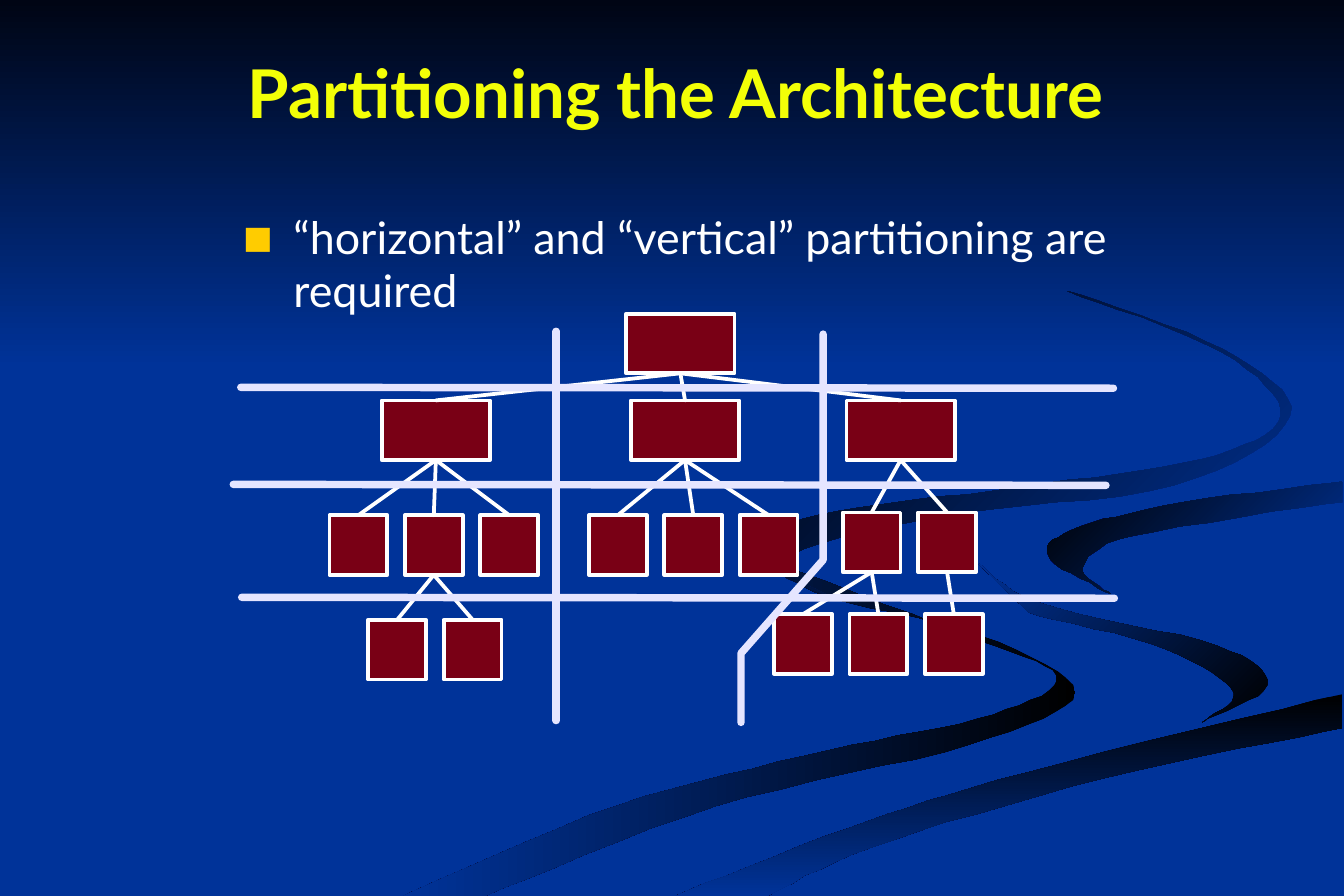
from lxml.etree import SubElement
from pptx import Presentation
from pptx.dml.color import RGBColor
from pptx.enum.shapes import MSO_CONNECTOR, MSO_SHAPE
from pptx.enum.text import MSO_ANCHOR, MSO_AUTO_SIZE, PP_ALIGN
from pptx.oxml.ns import qn
from pptx.util import Pt

BLUE = RGBColor(0x00, 0x33, 0x99)
BLACK = RGBColor(0x00, 0x00, 0x00)
NIGHT = RGBColor(0x00, 0x05, 0x14)
YELLOW = RGBColor(0xF3, 0xFF, 0x07)
WHITE = RGBColor(0xFF, 0xFF, 0xFF)
MAROON = RGBColor(0x79, 0x00, 0x15)
LILAC = RGBColor(0xE5, 0xE5, 0xFF)
GOLD = "FFCC00"
FONT = "Lato"

RIVERS = [
    (BLACK, BLUE, 180,
     [(414, 295), (436, 317), (526, 341), (576, 371), (519, 399), (383, 432), (260, 480)],
     [(216, 480), (330, 432), (444, 402), (532, 383), (566, 362), (514, 339), (410, 300)]),
    (BLACK, BLUE, 135,
     [(521, 299), (557, 323), (652, 346), (679, 367), (644, 387)],
     [(661, 371), (625, 348), (551, 328)]),
    (BLACK, BLUE, 270,
     [(362, 480), (454, 444), (550, 414), (719, 372)],
     [(719, 390), (591, 417), (467, 454), (411, 480)]),
    (BLUE, BLACK, 135,
     [(719, 258), (623, 271), (570, 286), (563, 300), (595, 318)],
     [(595, 318), (580, 304), (607, 287), (719, 269)]),
    (BLUE, BLACK, 135,
     [(572, 156), (655, 187), (691, 223), (629, 260), (500, 277), (420, 300), (445, 320)],
     [(404, 297), (438, 276), (546, 261), (644, 246), (686, 223), (655, 189), (572, 156)]),
]


def smooth(knots, steps=8):
    ends = [knots[0]] + knots + [knots[-1]]
    curve = [knots[0]]
    for a, b, c, d in zip(ends, ends[1:], ends[2:], ends[3:]):
        for step in range(1, steps + 1):
            t = step / steps
            curve.append(tuple(
                q + t * (r - p) / 2 + t**2 * (2 * p - 5 * q + 4 * r - s) / 2
                + t**3 * (3 * q - p - 3 * r + s) / 2
                for p, q, r, s in zip(a, b, c, d)))
    return curve


def place(shape, left, top, width, height):
    shape.left, shape.top = Pt(left), Pt(top)
    shape.width, shape.height = Pt(width), Pt(height)


def trace(slide, points, left, top, close):
    pen = slide.shapes.build_freeform(*points[0], scale=Pt(1))
    pen.add_line_segments(points[1:], close=close)
    shape = pen.convert_to_shape(Pt(left), Pt(top))
    shape.shadow.inherit = False
    return shape


def blend(shape, first, last, angle):
    shape.fill.gradient()
    shape.fill.gradient_angle = angle
    for stop, color in zip(shape.fill.gradient_stops, (first, last)):
        stop.color.rgb = color
    shape.line.fill.background()


def stroke(shape, color, width):
    shape.line.color.rgb = color
    shape.line.width = Pt(width)
    shape.element.spPr.find(qn("a:ln")).set("cap", "rnd")


def join(slide, start, end, color, width):
    line = slide.shapes.add_connector(MSO_CONNECTOR.STRAIGHT, *map(Pt, start + end))
    stroke(line, color, width)
    SubElement(line.element.spPr, qn("a:effectLst"))
    return line


def scene(slide, left, top, width, height):
    slide.background.fill.solid()
    slide.background.fill.fore_color.rgb = BLUE
    sky = slide.shapes.add_shape(MSO_SHAPE.RECTANGLE, 0, 0, 0, 0)
    place(sky, left, top, width, height * 0.41)
    sky.shadow.inherit = False
    blend(sky, NIGHT, BLUE, 270)
    for first, last, angle, near, far in RIVERS:
        if far[0] != near[-1] and far[0][1] < height and far[0][0] < width - 1:
            far = [near[-1]] + far
        bank = smooth(near) + smooth(far)
        blend(trace(slide, bank, left, top, True), first, last, angle)


def heading(title, left, top, width, height):
    place(title, left, top, width, height)
    frame = title.text_frame
    frame.text = "Partitioning the Architecture"
    frame.auto_size = MSO_AUTO_SIZE.NONE
    frame.vertical_anchor = MSO_ANCHOR.MIDDLE
    para = frame.paragraphs[0]
    para.alignment = PP_ALIGN.CENTER
    para.font.name, para.font.size, para.font.bold = FONT, Pt(36), True
    para.font.color.rgb = YELLOW


def bullet(body, left, top, width, height):
    place(body, left, top, width, height)
    frame = body.text_frame
    frame.text = "“horizontal” and “vertical” partitioning are required"
    frame.auto_size = MSO_AUTO_SIZE.NONE
    para = frame.paragraphs[0]
    para.space_before = Pt(0)
    para.font.name, para.font.size = FONT, Pt(24)
    para.font.color.rgb = WHITE
    props = para._p.get_or_add_pPr()
    props.set("marL", str(Pt(27)))
    props.set("indent", str(Pt(-27)))
    dye = SubElement(props, qn("a:buClr"))
    SubElement(dye, qn("a:srgbClr")).set("val", GOLD)
    SubElement(props, qn("a:buSzPct")).set("val", "70000")
    SubElement(props, qn("a:buFont")).set("typeface", FONT)
    SubElement(props, qn("a:buChar")).set("char", "■")
    props.append(props.find(qn("a:defRPr")))


def diagram(slide, left, top, width, height):
    def node(x, y, wide):
        box = slide.shapes.add_shape(MSO_SHAPE.RECTANGLE, 0, 0, 0, 0)
        place(box, left + x, top + y, wide, 32)
        box.shadow.inherit = False
        box.fill.solid()
        box.fill.fore_color.rgb = MAROON
        box.line.color.rgb = WHITE
        box.line.width = Pt(2)
        return box

    def row(x, y, count):
        return [node(x + 40.4 * i, y, 31) for i in range(count)]

    root = node(210.5, 0, 58)
    heads = [node(x, 46.5, 58) for x in (79.5, 213, 328.5)]
    west, mid, east = row(51.5, 108, 3), row(190.5, 108, 3), row(326.5, 106.5, 2)
    feet, toes = row(72.3, 164, 2), row(289.7, 161, 3)
    links = [(root, heads), (heads[0], west), (heads[1], mid), (heads[2], east),
             (west[1], feet), (east[0], toes[:2]), (east[1], toes[2:])]
    for parent, kids in links:
        for kid in kids:
            link = join(slide, (0, 0), (0, 0), WHITE, 2)
            link.begin_connect(parent, 2)
            link.end_connect(kid, 0)

    for x, y in ((4, 39.5), (0, 91.5), (4.5, 152)):
        join(slide, (left + x, top + y), (left + x + 467.5, top + y + 0.5), LILAC, 4)
    join(slide, (left + 173, top + 9.5), (left + 173, top + height), LILAC, 4)
    bend = [(316.5, 11), (316.5, 132.5), (272.5, 181.5), (272.5, height + 1)]
    cut = trace(slide, bend, left, top, False)
    cut.fill.background()
    stroke(cut, LILAC, 4)


def main():
    deck = Presentation()
    deck.slide_width, deck.slide_height = Pt(720), Pt(480)
    slide = deck.slides.add_slide(deck.slide_layouts[1])
    title, body = slide.placeholders
    scene(slide, 0, 0, 720, 480)
    heading(title, 101.5, 28, 521, 42)
    bullet(body, 123, 108.5, 480, 312)
    tree = title.element.getparent()
    for held in (title, body):
        tree.append(held.element)
    diagram(slide, 125, 168, 472, 218)
    deck.save("out.pptx")


if __name__ == "__main__":
    main()
